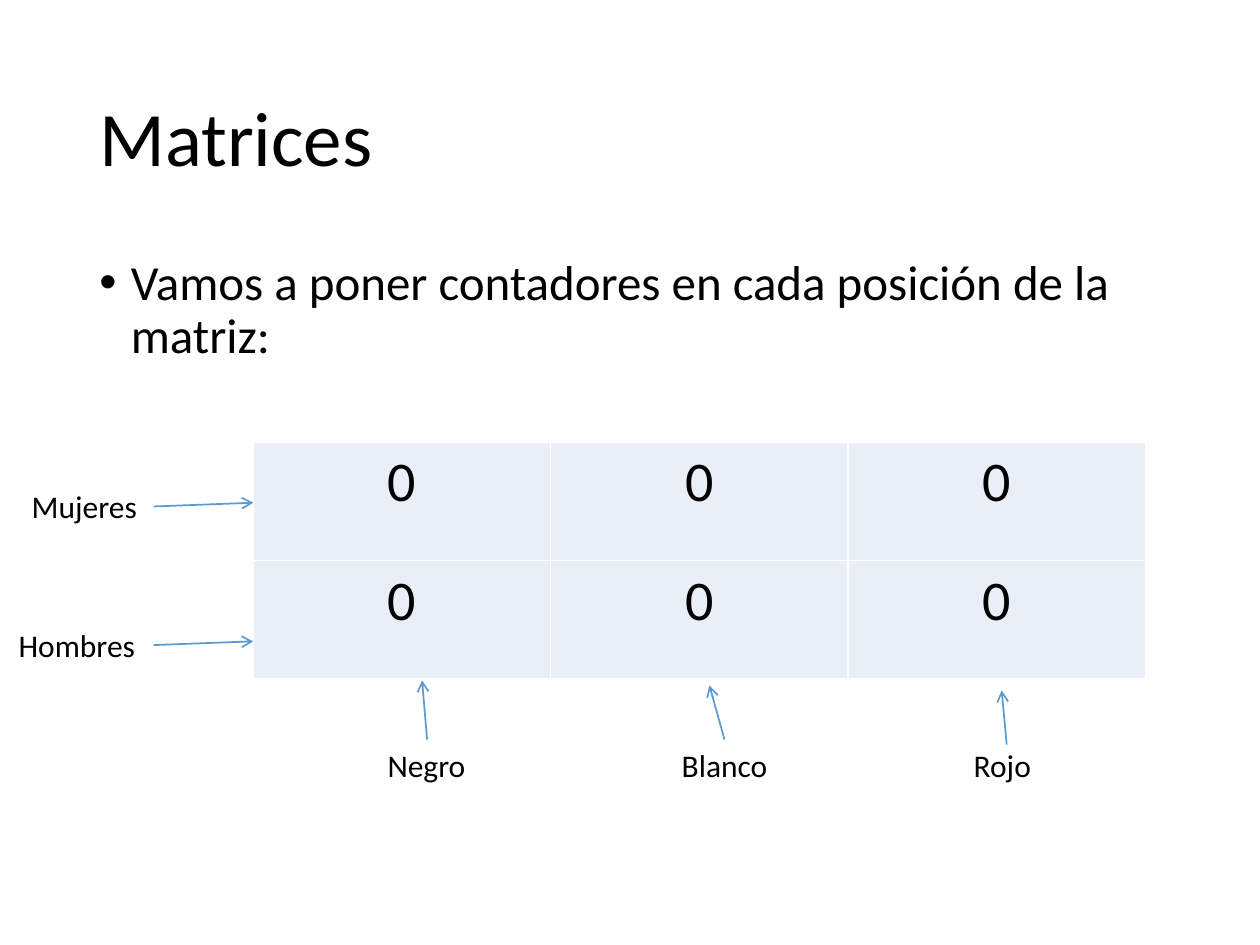
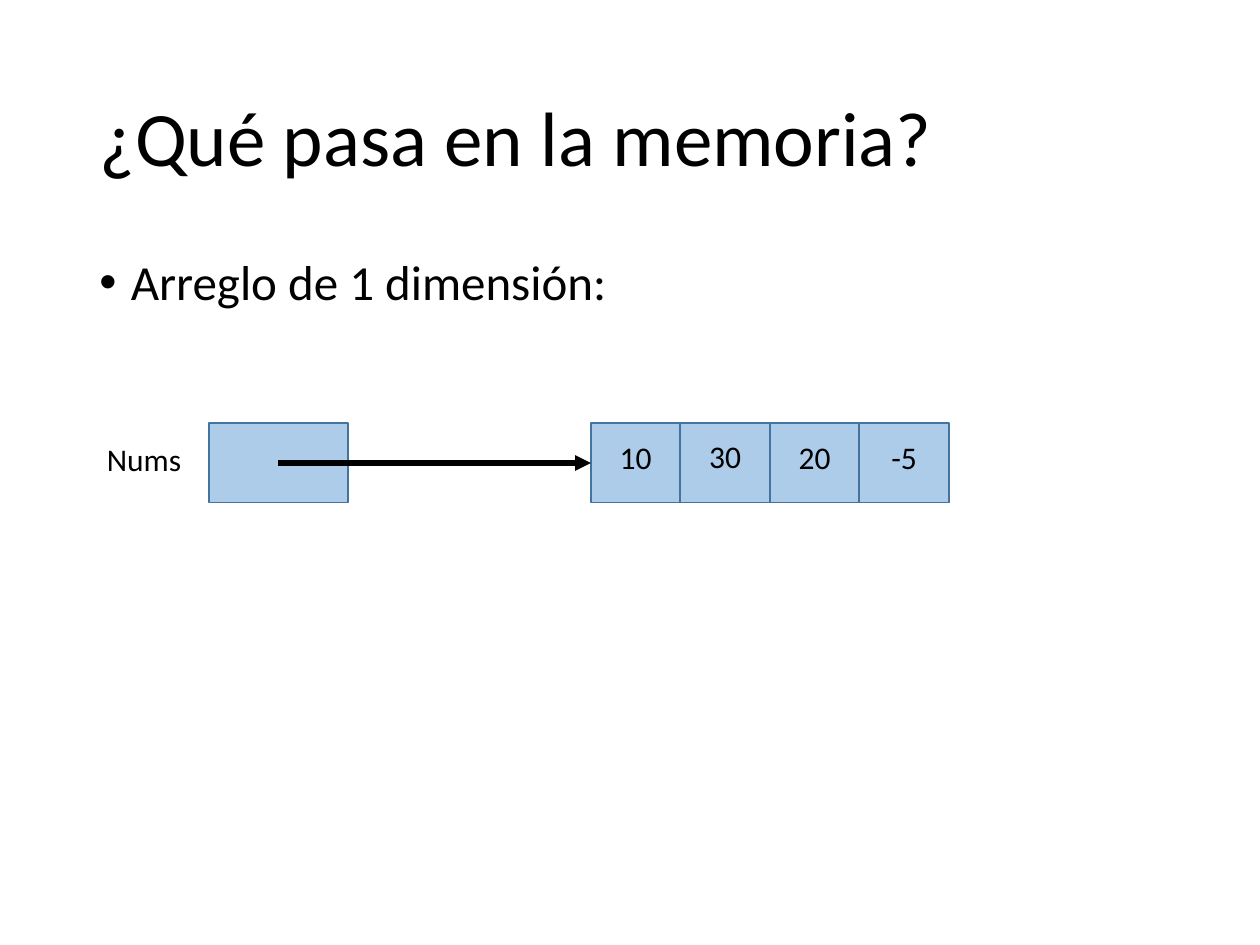
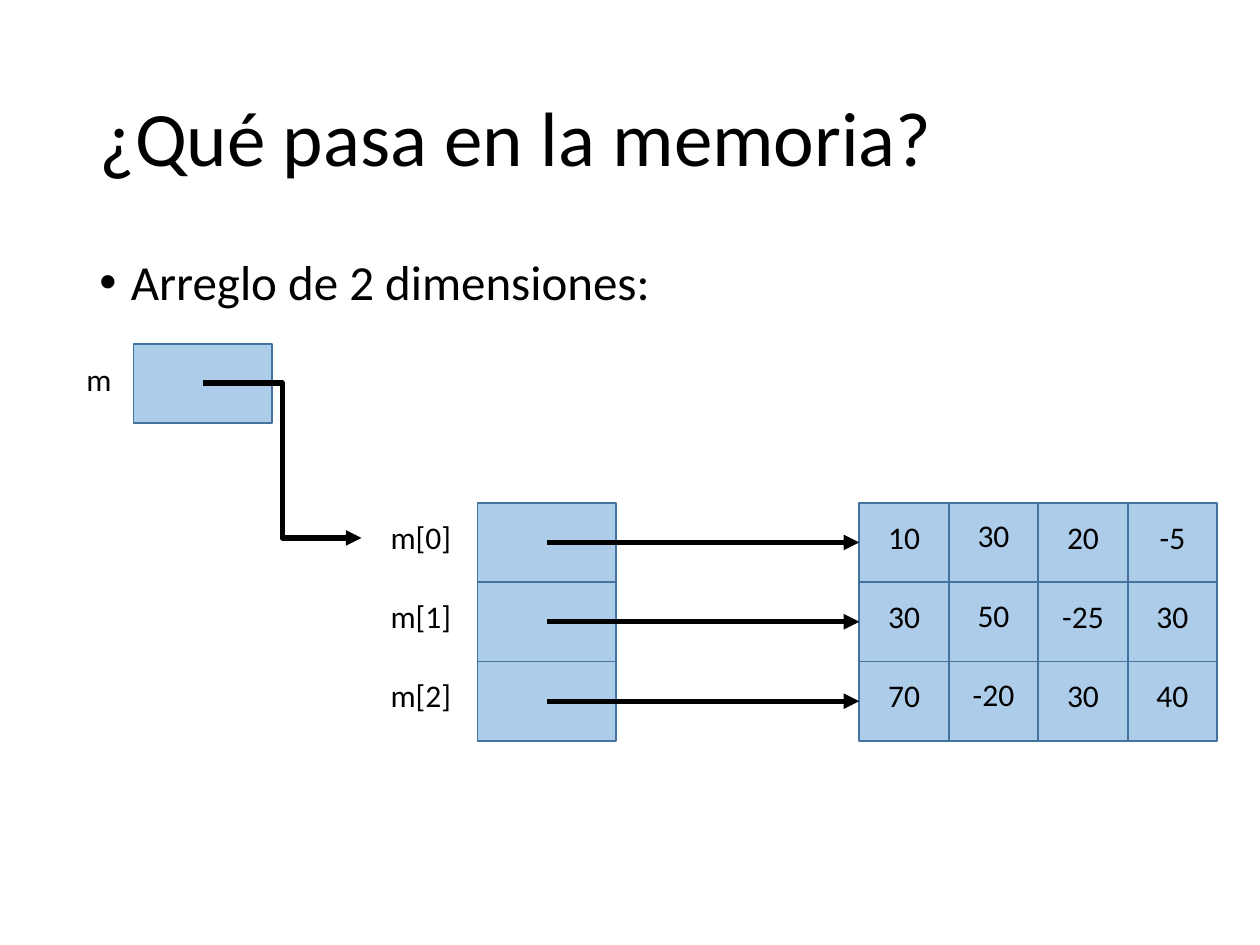
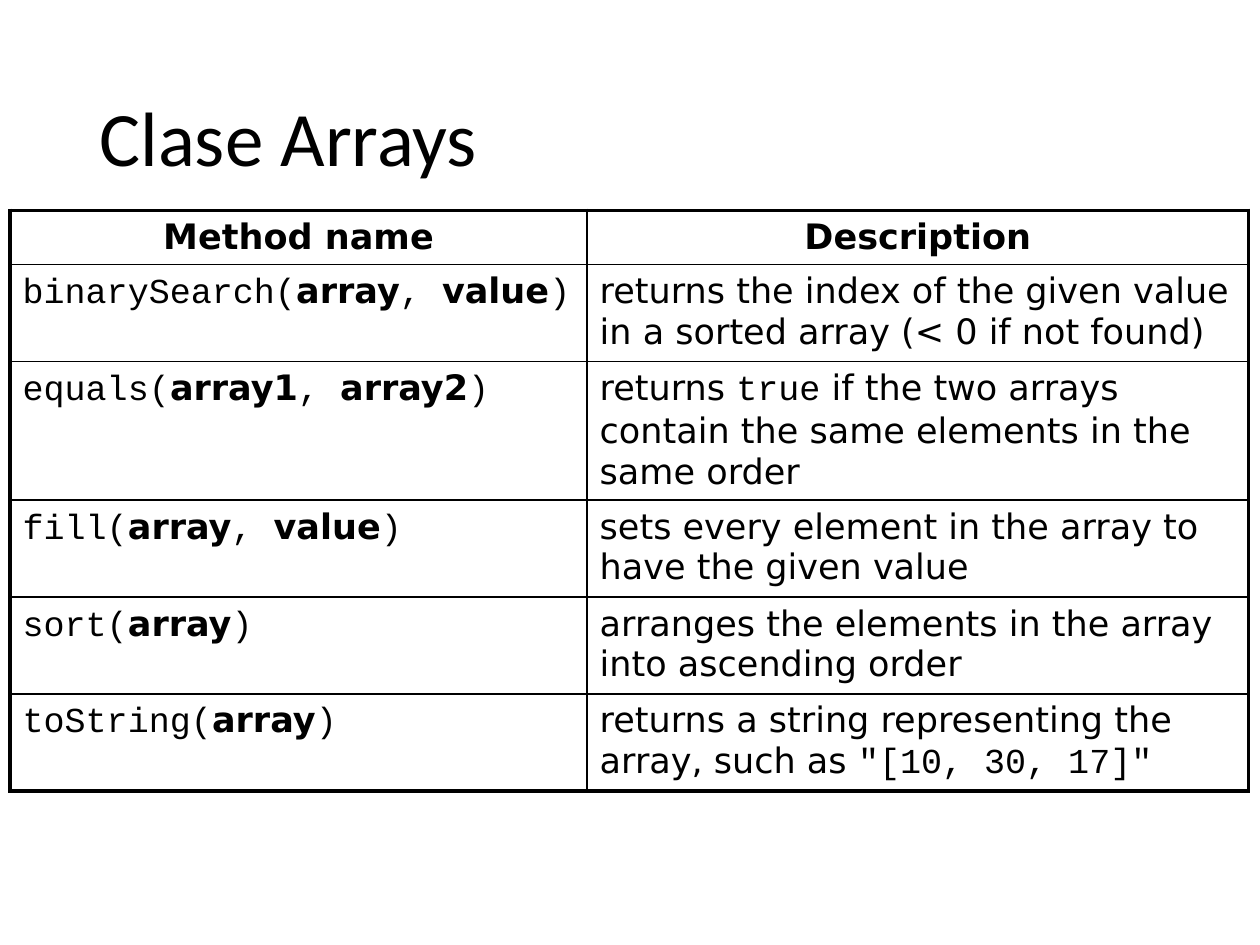
from lxml.etree import SubElement
from pptx import Presentation
from pptx.dml.color import RGBColor
from pptx.enum.shapes import MSO_CONNECTOR as CONN, MSO_SHAPE as SHAPE
from pptx.enum.text import MSO_ANCHOR as ANCHOR, MSO_AUTO_SIZE as AUTO, PP_ALIGN as ALIGN
from pptx.oxml.ns import qn
from pptx.util import Inches, Pt

COLORS = {"text": "000000", "paper": "FFFFFF", "counter": "EAEFF7",
          "blue": "5B9BD5", "edge": "43739E"}
FONT, CODE, PROSE = "Calibri", "Courier New", "DejaVu Sans"

COUNTERS = [["0", "0", "0"], ["0", "0", "0"]]
COUNTER_LABELS = [("Mujeres", 0.12, 3.82, 1.1), ("Hombres", 0, 4.92, 1.22),
                  ("Negro", 2.95, 5.87, 0.87), ("Blanco", 5.24, 5.87, 1.02),
                  ("Rojo", 7.52, 5.87, 0.87)]
COUNTER_ARROWS = [((1.22, 4.02), (2.01, 3.99)), ((1.22, 5.12), (2.01, 5.09)),
                  ((3.39, 5.87), (3.35, 5.4)), ((5.75, 5.87), (5.63, 5.44)),
                  ((7.99, 5.91), (7.95, 5.48))]
NUMS = ["10", "30", "20", "-5"]
MATRIX = [NUMS, ["30", "50", "-25", "30"], ["70", "-20", "30", "40"]]
METHOD_HEADER = ["Method name", "Description"]
METHODS = [
    ("binarySearch", ["array", "value"],
     [("returns the index of the given value in a sorted array (< 0 if not found)", PROSE)]),
    ("equals", ["array1", "array2"],
     [("returns ", PROSE), ("true", CODE),
      (" if the two arrays contain the same elements in the same order", PROSE)]),
    ("fill", ["array", "value"],
     [("sets every element in the array to have the given value", PROSE)]),
    ("sort", ["array"],
     [("arranges the elements in the array into ascending order", PROSE)]),
    ("toString", ["array"],
     [("returns a string representing the array, such as ", PROSE),
      ('"[10, 30, 17]"', CODE)]),
]
METHOD_COLS = [4.58, 5.25]
METHOD_ROWS = [0.43, 0.77, 1.1, 0.77, 0.77, 0.77]

BOX_W, BOX_H, CELL_W, CELLS_DX = 1.1, 0.63, 0.71, 3.03


def rgb(name):
    return RGBColor.from_string(COLORS[name])


def write(tf, text, size=18, font=FONT, bold=False, align=ALIGN.LEFT, spacing=None, bullet=False):
    runs = [(text, font, bold)] if isinstance(text, str) else text
    p = tf.paragraphs[0]
    p.alignment = align
    if spacing:
        p.line_spacing = spacing
    if bullet:
        pPr = p._p.get_or_add_pPr()
        pPr.set("marL", str(Inches(0.25)))
        pPr.set("indent", str(-Inches(0.25)))
        SubElement(pPr, qn("a:buFont")).set("typeface", "Arial")
        SubElement(pPr, qn("a:buChar")).set("char", "•")
    for run_text, name, *strong in runs:
        r = p.add_run()
        r.text = run_text
        r.font.name, r.font.size = name, Pt(size)
        r.font.bold = any(strong)
        r.font.color.rgb = rgb("text")


def add_text(s, text, x, y, w, h=0.4, anchor=ANCHOR.TOP, grow=False, **fmt):
    tf = s.shapes.add_textbox(Inches(x), Inches(y), Inches(w), Inches(h)).text_frame
    tf.word_wrap = True
    tf.vertical_anchor = anchor
    tf.auto_size = AUTO.SHAPE_TO_FIT_TEXT if grow else AUTO.NONE
    write(tf, text, **fmt)


def add_label(s, text, x, y, w, align=ALIGN.CENTER):
    add_text(s, text, x, y, w, grow=True, align=align)


def add_slide(prs, title, body=None, body_h=0.73):
    s = prs.slides.add_slide(prs.slide_layouts[6])
    add_text(s, title, 0.69, 0.4, 8.62, 1.45, anchor=ANCHOR.MIDDLE, size=44, spacing=0.9)
    if body:
        add_text(s, body, 0.69, 2, 8.62, body_h, size=28, spacing=0.9, bullet=True)
    return s


def add_arrow(s, start, end, color="text", width=3, head="triangle", kind=CONN.STRAIGHT):
    c = s.shapes.add_connector(kind, *map(Inches, start + end))
    c.line.color.rgb, c.line.width = rgb(color), Pt(width)
    SubElement(c.line._get_or_add_ln(), qn("a:tailEnd")).set("type", head)
    SubElement(c._element.spPr, qn("a:effectLst"))


def add_box(s, x, y, w):
    sp = s.shapes.add_shape(SHAPE.RECTANGLE, Inches(x), Inches(y), Inches(w), Inches(BOX_H))
    sp.shadow.inherit = False
    sp.fill.solid()
    sp.fill.fore_color.rgb = rgb("blue")
    clr = sp._element.spPr.find(qn("a:solidFill")).find(qn("a:srgbClr"))
    SubElement(clr, qn("a:alpha")).set("val", "50000")
    sp.line.color.rgb, sp.line.width = rgb("edge"), Pt(1)


def add_array(s, x, y, values):
    lefts = [x + CELLS_DX + i * CELL_W for i in range(len(values))]
    add_box(s, x, y, BOX_W)
    for left in lefts:
        add_box(s, left, y, CELL_W)
    add_arrow(s, (x + BOX_W / 2, y + BOX_H / 2), (lefts[0], y + BOX_H / 2))
    for i, (left, value) in enumerate(zip(lefts, values)):
        add_label(s, value, left, y + (0.06 if i == 1 else 0.07), CELL_W)


def add_grid(s, x, y, cols, rows):
    size = map(Inches, (x, y, sum(cols), sum(rows)))
    table = s.shapes.add_table(len(rows), len(cols), *size).table
    table.first_row = table.horz_banding = False
    for col, w in zip(table.columns, cols):
        col.width = Inches(w)
    for row, h in zip(table.rows, rows):
        row.height = Inches(h)
    return table


def style_cell(cell, fill, line, widths):
    tcPr = cell._tc.get_or_add_tcPr()
    for side, width in zip("LRTB", widths):
        ln = SubElement(tcPr, qn(f"a:ln{side}"), w=str(Pt(width)))
        SubElement(SubElement(ln, qn("a:solidFill")), qn("a:srgbClr")).set("val", COLORS[line])
    cell.fill.solid()
    cell.fill.fore_color.rgb = rgb(fill)


def signature(name, args):
    runs = [(name + "(", CODE)]
    for i, arg in enumerate(args):
        if i:
            runs.append((", ", CODE))
        runs.append((arg, PROSE, True))
    return runs + [(")", CODE)]


def counters_slide(prs):
    s = add_slide(prs, "Matrices", "Vamos a poner contadores en cada posición de la matriz:", 4.76)
    table = add_grid(s, 2.01, 3.51, [2.36] * 3, [0.94] * 2)
    for i, row in enumerate(COUNTERS):
        for j, value in enumerate(row):
            cell = table.cell(i, j)
            style_cell(cell, "counter", "paper", [1] * 4)
            write(cell.text_frame, value, size=32, align=ALIGN.CENTER)
    for label in COUNTER_LABELS:
        add_label(s, *label)
    for start, end in COUNTER_ARROWS:
        add_arrow(s, start, end, color="blue", width=1, head="arrow")


def vector_slide(prs):
    s = add_slide(prs, "¿Qué pasa en la memoria?", "Arreglo de 1 dimensión:")
    add_array(s, 1.66, 3.36, NUMS)
    add_label(s, "Nums", 0.75, 3.44, 0.94, align=ALIGN.LEFT)


def matrix_slide(prs):
    s = add_slide(prs, "¿Qué pasa en la memoria?", "Arreglo de 2 dimensiones:")
    for i, values in enumerate(MATRIX):
        y = 3.99 + i * BOX_H
        add_array(s, 3.79, y, values)
        add_label(s, f"m[{i}]", 2.87, y + 0.07, 0.94)
    add_box(s, 1.06, 2.73, BOX_W)
    add_label(s, "m", 0.43, 2.81, 0.71)
    add_arrow(s, (1.61, 3.04), (2.87, 4.27), kind=CONN.ELBOW)


def methods_slide(prs):
    s = add_slide(prs, "Clase Arrays")
    rows = [[[(head, PROSE, True)] for head in METHOD_HEADER]]
    rows += [[signature(name, args), text] for name, args, text in METHODS]
    table = add_grid(s, 0.08, 1.67, METHOD_COLS, METHOD_ROWS)
    last_row, last_col = len(rows) - 1, len(METHOD_COLS) - 1
    for i, row in enumerate(rows):
        for j, runs in enumerate(row):
            cell = table.cell(i, j)
            outer = (j == 0, j == last_col, i == 0, i == last_row)
            style_cell(cell, "paper", "text", [2.25 if edge else 1 for edge in outer])
            write(cell.text_frame, runs, size=20, align=ALIGN.LEFT if i else ALIGN.CENTER)


def main():
    prs = Presentation()
    prs.slide_width, prs.slide_height = Inches(10), Inches(7.5)
    for build in (counters_slide, vector_slide, matrix_slide, methods_slide):
        build(prs)
    prs.save("out.pptx")


if __name__ == "__main__":
    main()
